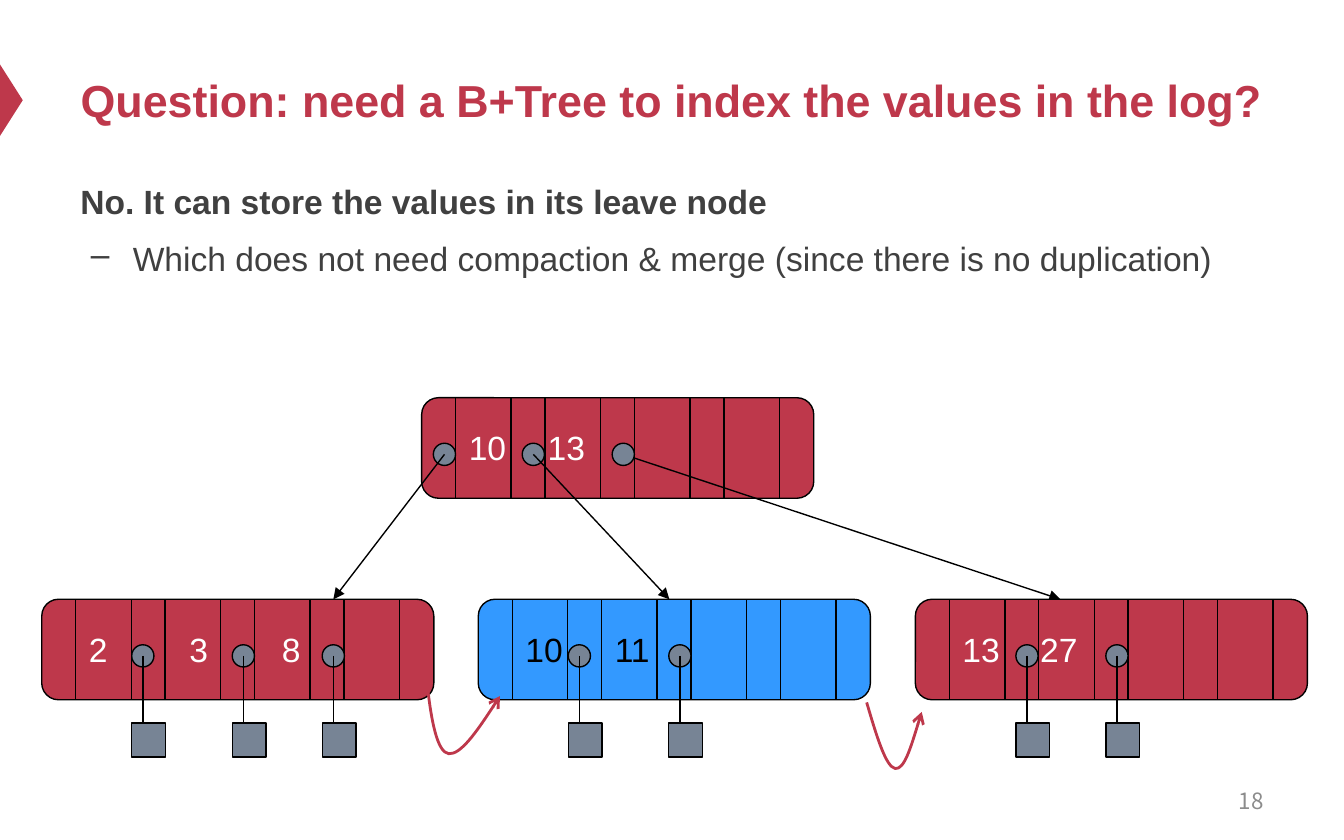
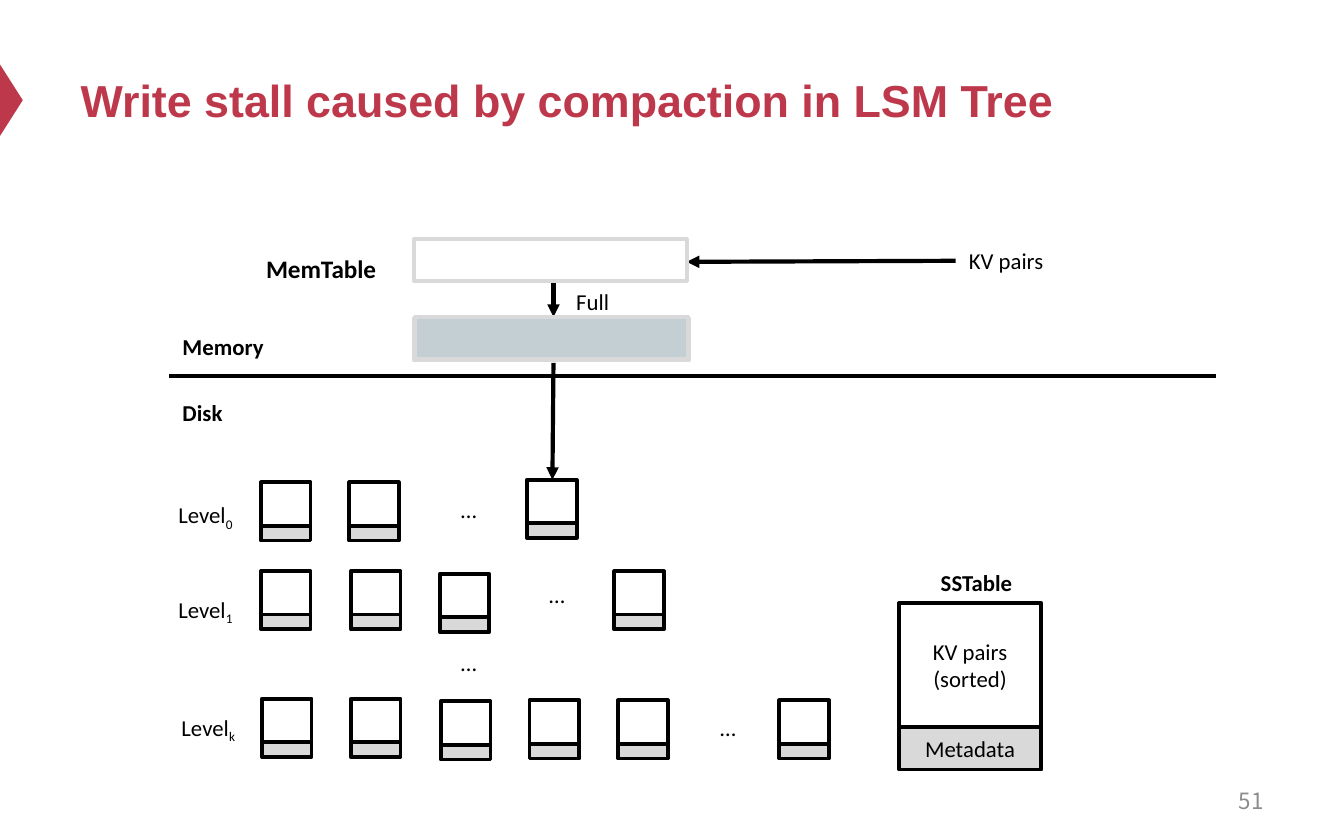
from lxml.etree import SubElement as Sub
from pptx import Presentation
from pptx.dml.color import RGBColor as RGB
from pptx.enum.shapes import MSO_CONNECTOR as Link, MSO_SHAPE as Kind
from pptx.enum.text import MSO_ANCHOR as Anchor, MSO_AUTO_SIZE as Auto, PP_ALIGN as Align
from pptx.oxml.ns import qn
from pptx.util import Cm, Pt

RED = RGB(0xBE, 0x38, 0x4B)
BLUE = RGB(0x33, 0x99, 0xFF)
SLATE = RGB(0x77, 0x84, 0x95)
MIST = RGB(0xC3, 0xCF, 0xD3)
PALE = RGB(0xD9, 0xD9, 0xD9)
GREY = RGB(0x8C, 0x8C, 0x8C)
DARK = RGB(0x40, 0x40, 0x40)
BLACK = RGB(0, 0, 0)
WHITE = RGB(255, 255, 255)

HEAD = dict(name="Arial", size=Pt(24), bold=True, color=RED)
BODY = dict(name="Arial", size=Pt(18), bold=False, color=DARK)
LEAD = {**BODY, "bold": True}
KEY = {**BODY, "color": WHITE}
PAGE = dict(name="Noto Sans CJK SC", size=Pt(12), color=GREY)
NOTE = dict(name="Calibri", size=Pt(12.2), color=BLACK)
BOLD = {**NOTE, "bold": True}
LARGE = {**BOLD, "size": Pt(13.5)}

TREE = "Question: need a B+Tree to index the values in the log?"
CLAIM = "No. It can store the values in its leave node"
POINT = "Which does not need compaction & merge (since there is no duplication)"
NODE_W, NODE_H, SLOT, PITCH = 7.41, 1.9, 0.64, 1.69
DOT, CELL = 0.42, 0.64
LEAF_Y, ROOT_Y, ROOT_X = 11.33, 7.52, 7.97
ROOT_KEYS = [("10", 0.64), ("13", 2.13)]
LINKS = [(3.6, 20.04), (0.22, 6.3), (1.9, 12.65)]
LEAVES = [
    (0.79, RED, WHITE, [("2", 0.64), ("3", 2.54), ("8", 4.29)], [1.7, 3.6, 5.3]),
    (9.04, BLUE, BLACK, [("10", 0.64), ("11", 2.33)], [1.7, 3.6]),
    (17.3, RED, WHITE, [("13", 0.64), ("27", 2.11)], [1.9, 3.6]),
]
CURVES = [
    [(8.08, 12.98), (8.15, 13.61), (8.26, 14.22), (8.48, 14.25),
     (8.71, 14.27), (9.09, 13.72), (9.45, 13.16)],
    [(16.38, 13.28), (16.56, 13.89), (16.74, 14.5), (16.92, 14.53),
     (17.09, 14.55), (17.25, 14.02), (17.42, 13.46)],
]

STALL = "Write stall caused by compaction in LSM Tree"
TABLE_W, DATA_H, META_H = 0.94, 0.82, 0.28
LEVELS = [
    ("0", 3.12, 9.35, 9.12, [(4.93, 0), (6.6, 0), (9.96, -0.05)]),
    ("1", 3.12, 11.13, 10.8, [(4.93, 0), (6.63, 0), (8.31, 0.05), (11.61, 0)]),
    ("k", 3.18, 13.36, 13.21, [(4.95, 0), (6.63, 0), (8.33, 0.05),
                               (10.01, 0.03), (11.68, 0.03), (14.73, 0.03)]),
]
DOTS = [(8.46, 9.25), (10.13, 10.85), (8.46, 12.14), (13.36, 13.36)]
BUFFERS = [((7.82, 6.02, 5.21, 0.79), None), ((7.82, 4.52, 5.16, 0.79), None),
           ((7.85, 5.99, 5.16, 0.79), MIST)]
LABELS = [
    ("KV pairs", (18.06, 4.55, 1.98, 0.79), NOTE),
    ("Memory", (3.2, 6.17, 2.08, 0.79), BOLD),
    ("Disk", (3.2, 7.42, 1.3, 0.79), BOLD),
    ("Full", (10.64, 5.31, 1.14, 0.79), NOTE),
    ("MemTable", (4.78, 4.67, 3, 0.84), LARGE),
]
FLOWS = [((18.06, 4.93), (12.98, 4.95)), ((10.46, 6.86), (10.44, 9.07)),
         ((10.46, 5.33), (10.46, 5.99))]


def style(font, form):
    for name, val in form.items():
        if name == "color":
            font.color.rgb = val
        else:
            setattr(font, name, val)


def write(para, words, form):
    run = para.add_run()
    run.text = words
    style(run.font, form)
    return run


def text(host, box, words, form, wrap=False, align=Align.LEFT):
    frame = host.add_textbox(*map(Cm, box)).text_frame
    frame.word_wrap = wrap
    para = frame.paragraphs[0]
    para.alignment = align
    write(para, words, form)
    return frame


def shape(host, kind, box, fill, edge=BLACK, width=0.75):
    part = host.add_shape(kind, *map(Cm, box))
    part.shadow.inherit = False
    if fill is None:
        part.fill.background()
    else:
        part.fill.solid()
        part.fill.fore_color.rgb = fill
    if edge is None:
        part.line.fill.background()
    else:
        part.line.color.rgb = edge
        part.line.width = Pt(width)
    return part


def tip(part, kind):
    Sub(part.element.spPr.find(qn("a:ln")), qn("a:tailEnd"), type=kind)


def line(host, start, end, width=0.75, head=False):
    part = host.add_connector(Link.STRAIGHT, *map(Cm, (*start, *end)))
    part.line.color.rgb = BLACK
    part.line.width = Pt(width)
    if head:
        tip(part, "triangle")
    Sub(part.element.spPr, qn("a:effectLst"))


def curve(host, points):
    ends = [(Cm(x), Cm(y)) for x, y in points]
    pen = host.build_freeform(*ends[0])
    pen.add_line_segments(ends[1:], close=False)
    part = pen.convert_to_shape()
    part.shadow.inherit = False
    part.fill.background()
    part.line.color.rgb = RED
    part.line.width = Pt(1.5)
    tip(part, "arrow")
    track = next(part.element.iter(qn("a:path")))
    legs = track.findall(qn("a:lnTo"))
    for i in range(0, len(legs), 3):
        bend = Sub(track, qn("a:cubicBezTo"))
        for leg in legs[i:i + 3]:
            bend.append(leg[0])
            track.remove(leg)


def node(host, x, y, fill, ink, keys):
    shape(host, Kind.ROUNDED_RECTANGLE, (x, y, NODE_W, NODE_H), fill)
    for i in range(4):
        for off in (SLOT + i * PITCH, (i + 1) * PITCH):
            line(host, (x + off, y), (x + off, y + NODE_H))
    for word, off in keys:
        wide = 0.86 if len(word) == 1 else 1.22
        text(host, (x + off, y + 0.43, wide, 1.02), word, {**KEY, "color": ink})


def dot(host, x, y):
    shape(host, Kind.OVAL, (x, y + 0.86, DOT, DOT), SLATE)


def table(host, x, y, wide, data, meta):
    return [shape(host, Kind.RECTANGLE, (x, y, wide, data), None, width=2),
            shape(host, Kind.RECTANGLE, (x, y + data, wide, meta), PALE, width=2)]


def start(deck, title, page):
    slide = deck.slides.add_slide(deck.slide_layouts[5])
    host = slide.shapes
    mark = shape(host, Kind.ISOSCELES_TRIANGLE, (-0.46, 1.68, 1.35, 0.43), RED, None)
    mark.rotation = 90
    head = host.title
    for name, val in zip(("left", "top", "width", "height"), (1.27, 0.64, 22.86, 2.49)):
        setattr(head, name, Cm(val))
    frame = head.text_frame
    frame.auto_size = Auto.NONE
    frame.vertical_anchor = Anchor.MIDDLE
    frame.paragraphs[0].alignment = Align.LEFT
    write(frame.paragraphs[0], title, HEAD)
    foot = text(host, (18.21, 14.71, 5.92, 0.84), page, PAGE, True, Align.RIGHT)
    foot.vertical_anchor = Anchor.MIDDLE
    return host


def tree(deck):
    host = start(deck, TREE, "18")
    frame = text(host, (1.27, 3.15, 22.86, 10.46), CLAIM, LEAD, True)
    frame.paragraphs[0].line_spacing = 1.2
    para = frame.add_paragraph()
    para.level = 1
    para.line_spacing = 1.2
    para.space_before = Pt(4.5)
    props = para._p.get_or_add_pPr()
    props.set("marL", str(Cm(0.99)))
    props.set("indent", str(Cm(-0.79)))
    Sub(props, qn("a:buChar"), char="–")
    write(para, POINT, BODY)

    node(host, ROOT_X, ROOT_Y, RED, WHITE, ROOT_KEYS)
    for i, (off, goal) in enumerate(LINKS):
        x, mid = ROOT_X + off, ROOT_Y + 1.07
        if i:
            dot(host, x, ROOT_Y)
        line(host, (x + DOT / 2, mid), (goal, LEAF_Y), head=True)
        if not i:
            dot(host, x, ROOT_Y)
    for x, fill, ink, keys, dots in LEAVES:
        node(host, x, LEAF_Y, fill, ink, keys)
        for off in dots:
            left, mid = x + off, x + off + DOT / 2
            dot(host, left, LEAF_Y)
            line(host, (mid, LEAF_Y + 1.07), (mid, LEAF_Y + 2.77), head=True)
            shape(host, Kind.RECTANGLE, (left, LEAF_Y + 2.34, CELL, CELL), SLATE)
    for points in CURVES:
        curve(host, points)


def stall(deck):
    host = start(deck, STALL, "51")
    line(host, (3.2, 7.11), (22.99, 7.11), 2.25)
    grid = host.add_group_shape().shapes
    for sub, x, y, top, spots in LEVELS:
        frame = text(grid, (x, y, 1.63, 0.79), "Level", NOTE)
        low = write(frame.paragraphs[0], sub, NOTE)
        low.font._element.set("baseline", "-25000")
        for left, shift in spots:
            table(grid, left, top + shift, TABLE_W, DATA_H, META_H)
    for x, y in DOTS:
        text(grid, (x, y, 0.94, 0.79), "…", NOTE)

    key = host.add_group_shape().shapes
    parts = table(key, 16.99, 11.4, 2.69, 2.34, 0.81)
    for part, rows in zip(parts, (["KV pairs", "(sorted)"], ["Metadata"])):
        frame = part.text_frame
        frame.vertical_anchor = Anchor.MIDDLE
        for i, row in enumerate(rows):
            para = frame.add_paragraph() if i else frame.paragraphs[0]
            para.alignment = Align.CENTER
            write(para, row, NOTE)
    text(key, (17.53, 10.62, 1.96, 0.79), "SSTable", BOLD)

    for begin, end in FLOWS:
        line(host, begin, end, 2.25, True)
    for box, fill in BUFFERS:
        shape(host, Kind.RECTANGLE, box, fill, PALE, 2)
    for words, box, form in LABELS:
        text(host, box, words, form)


def main():
    deck = Presentation()
    deck.slide_width, deck.slide_height = Cm(25.4), Cm(15.88)
    tree(deck)
    stall(deck)
    deck.save("out.pptx")


if __name__ == "__main__":
    main()
